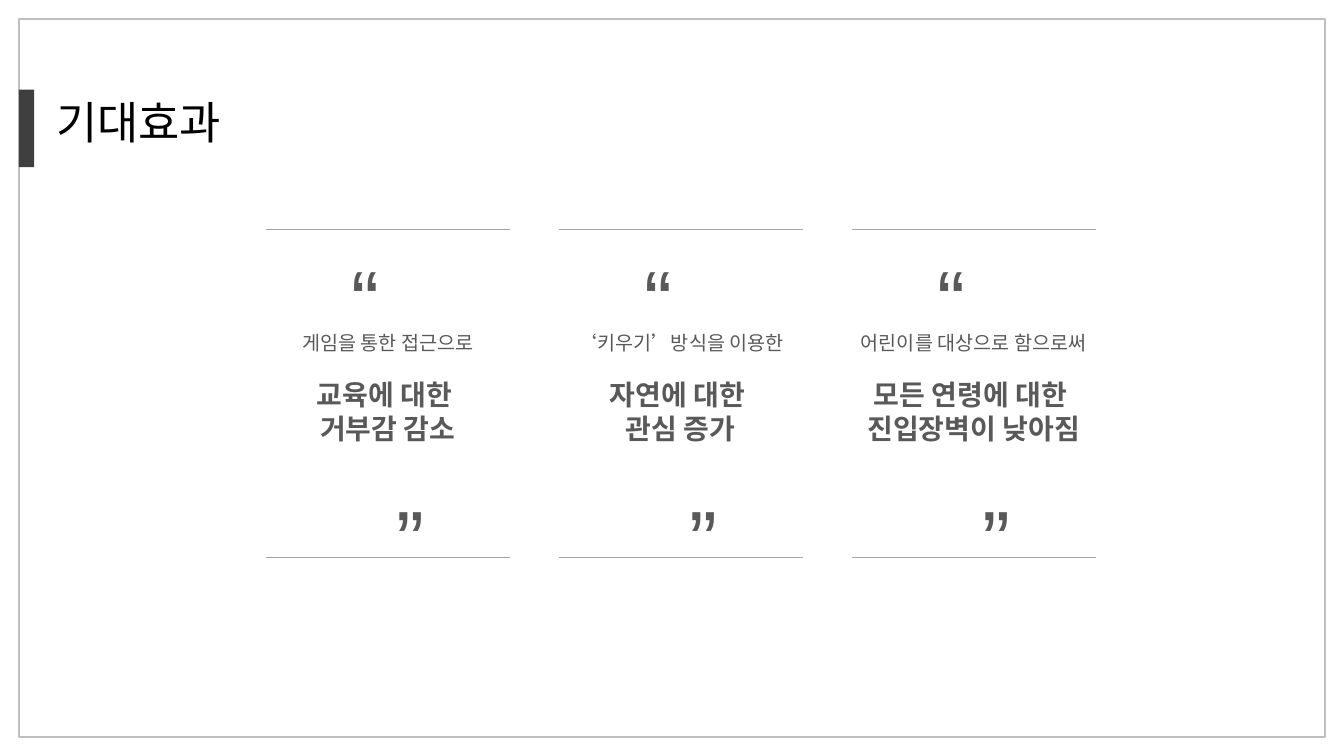
from dataclasses import dataclass

from lxml.etree import SubElement
from pptx import Presentation
from pptx.dml.color import RGBColor
from pptx.enum.shapes import MSO_CONNECTOR, MSO_SHAPE
from pptx.enum.text import MSO_ANCHOR, PP_ALIGN
from pptx.oxml.ns import qn
from pptx.util import Pt

TITLE = "기대효과"
EFFECTS = [
    ("게임을 통한 접근으로", ["교육에 대한 ", "거부감 감소"]),
    ("‘키우기’방식을 이용한", ["자연에 대한 ", "관심 증가"]),
    ("어린이를 대상으로 함으로써", ["모든 연령에 대한 ", "진입장벽이 낮아짐"]),
]


@dataclass(frozen=True)
class Theme:
    font: str = "Arial"
    title_color: RGBColor = RGBColor(0x00, 0x00, 0x00)
    text_color: RGBColor = RGBColor(0x59, 0x59, 0x59)
    accent: RGBColor = RGBColor(0x3F, 0x3F, 0x3F)
    frame: RGBColor = RGBColor(0xBF, 0xBF, 0xBF)
    rule: RGBColor = RGBColor(0xA5, 0xA5, 0xA5)
    title_size: int = 32
    quote_size: int = 60
    lead_size: int = 14
    effect_size: int = 20


THEME = Theme()

SLIDE_WIDTH, SLIDE_HEIGHT = 960, 540
MARGIN = 13.5
BAR_TOP = 64
COLUMN_LEFT, COLUMN_STEP, COLUMN_WIDTH = 190, 209.3, 174
RULE_TOPS = (164, 398)
QUOTES = [("“", -83.7, 172.8), ("”", -52, 344.2)]  # mark, offset from column, top
QUOTE_WIDTH, QUOTE_HEIGHT = 310, 80
MESSAGE_TOP, MESSAGE_HEIGHT, MESSAGE_OVERHANG = 232.6, 90, 7.2
LEAD_GAP = 17


def style(paragraph, size, color, bold=False, align=PP_ALIGN.CENTER):
    paragraph.alignment = align
    font = paragraph.font
    font.name, font.size, font.bold = THEME.font, Pt(size), bold
    font.color.rgb = color


def add_rectangle(slide, left, top, width, height):
    rectangle = slide.shapes.add_shape(
        MSO_SHAPE.RECTANGLE, Pt(left), Pt(top), Pt(width), Pt(height))
    rectangle.shadow.inherit = False
    return rectangle


def add_rule(slide, left, top):
    rule = slide.shapes.add_connector(
        MSO_CONNECTOR.STRAIGHT, Pt(left), Pt(top), Pt(left + COLUMN_WIDTH), Pt(top))
    rule.line.color.rgb = THEME.rule
    rule.line.width = Pt(0.75)
    SubElement(rule._element.spPr, qn("a:effectLst"))


def add_text_frame(slide, left, top, width, height):
    frame = slide.shapes.add_textbox(Pt(left), Pt(top), Pt(width), Pt(height)).text_frame
    frame.word_wrap = True
    return frame


def add_heading(slide):
    title = slide.shapes.title
    title.left, title.top, title.width, title.height = Pt(33), Pt(BAR_TOP), Pt(382), Pt(70.5)
    title.text_frame.text = TITLE
    title.text_frame.vertical_anchor = MSO_ANCHOR.TOP
    style(title.text_frame.paragraphs[0], THEME.title_size, THEME.title_color,
          align=PP_ALIGN.LEFT)


def add_effect(slide, left, lead, lines):
    for top in RULE_TOPS:
        add_rule(slide, left, top)
    for mark, offset, top in QUOTES:
        quote = add_text_frame(slide, left + offset, top, QUOTE_WIDTH, QUOTE_HEIGHT)
        quote.text = mark
        style(quote.paragraphs[0], THEME.quote_size, THEME.text_color)

    message = add_text_frame(slide, left - MESSAGE_OVERHANG, MESSAGE_TOP,
                             COLUMN_WIDTH + 2 * MESSAGE_OVERHANG, MESSAGE_HEIGHT)
    message.text = "\n".join([lead, *lines])
    lead_line, *effect_lines = message.paragraphs
    style(lead_line, THEME.lead_size, THEME.text_color)
    for line in effect_lines:
        style(line, THEME.effect_size, THEME.text_color, bold=True)
    effect_lines[0].space_before = Pt(LEAD_GAP)


def main():
    deck = Presentation()
    deck.slide_width, deck.slide_height = Pt(SLIDE_WIDTH), Pt(SLIDE_HEIGHT)
    slide = deck.slides.add_slide(deck.slide_layouts[5])

    border = add_rectangle(slide, MARGIN, MARGIN,
                           SLIDE_WIDTH - 2 * MARGIN, SLIDE_HEIGHT - 2 * MARGIN)
    border.fill.background()
    border.line.color.rgb = THEME.frame
    border.line.width = Pt(1)

    bar = add_rectangle(slide, MARGIN, BAR_TOP, 11, 55.5)
    bar.fill.solid()
    bar.fill.fore_color.rgb = THEME.accent
    bar.line.fill.background()

    add_heading(slide)
    for index, (lead, lines) in enumerate(EFFECTS):
        add_effect(slide, COLUMN_LEFT + index * COLUMN_STEP, lead, lines)
    deck.save("out.pptx")


if __name__ == "__main__":
    main()
